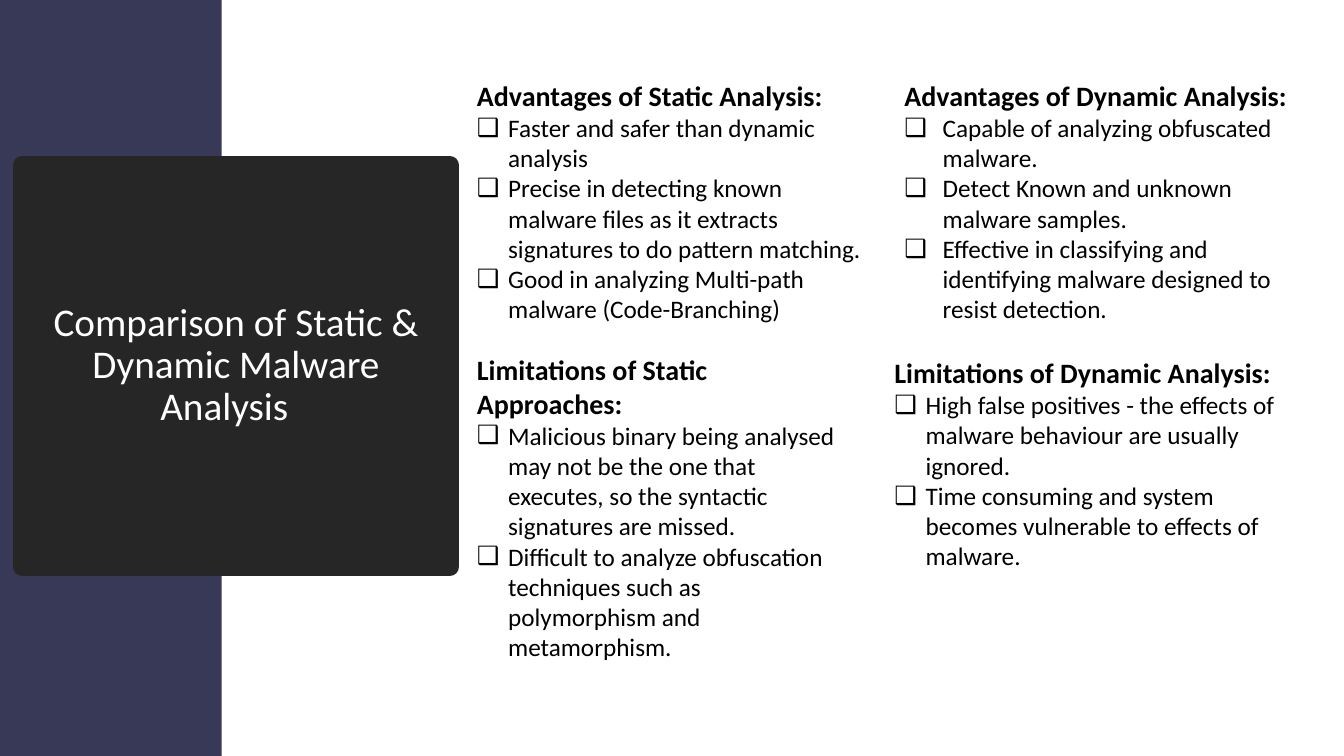
from lxml import etree
from pptx import Presentation
from pptx.dml.color import RGBColor
from pptx.enum import shapes, text
from pptx.oxml import ns
from pptx import util as u

PX = 9144
FONT = "Calibri"
BLACK = RGBColor(0x00, 0x00, 0x00)
WHITE = RGBColor(0xFF, 0xFF, 0xFF)
INDIGO = RGBColor(0x37, 0x39, 0x57)
CHARCOAL = RGBColor(0x26, 0x26, 0x26)

LISTS = [
    ((463, 73, 402, 256), 31, "Advantages of Static Analysis:", [
        "Faster and safer than dynamic analysis",
        "Precise in detecting known malware files as it extracts "
        "signatures to do pattern matching.",
        "Good in analyzing Multi-path malware (Code-Branching)",
    ]),
    ((463, 345, 381, 320), 31, "Limitations of Static Approaches:", [
        "Malicious binary being analysed may not be the one that executes, "
        "so the syntactic signatures are missed.",
        "Difficult to analyze obfuscation techniques such as "
        "polymorphism and metamorphism.",
    ]),
    ((887, 73, 424, 289), 38, "Advantages of Dynamic Analysis:", [
        "Capable of analyzing obfuscated malware.",
        "Detect Known and unknown malware samples.",
        "Effective in classifying and identifying malware designed "
        "to resist detection.",
    ]),
    ((877, 348, 424, 316), 31, "Limitations of Dynamic Analysis:", [
        "High false positives - the effects of malware behaviour "
        "are usually ignored.",
        "Time consuming and system becomes vulnerable to effects of malware.",
    ]),
]


def place(sp, box):
    sp.left, sp.top, sp.width, sp.height = (v * PX for v in box)


def prepare_frame(sp, anchor):
    tf = sp.text_frame
    tf.word_wrap = True
    tf.auto_size = text.MSO_AUTO_SIZE.NONE
    tf.vertical_anchor = anchor
    return tf


def write(p, content, size, color=BLACK, bold=False,
          align=text.PP_ALIGN.LEFT, spacing=1.0):
    p.alignment = align
    p.line_spacing = spacing
    p.space_before = p.space_after = u.Pt(0)
    r = p.add_run()
    r.text = content
    r.font.name = FONT
    r.font.size = u.Pt(size)
    r.font.bold = bold
    r.font.color.rgb = color


def set_bullet(p, indent=0, char=None):
    pPr = p._p.get_or_add_pPr()
    pPr.set("marL", str(indent * PX))
    pPr.set("indent", str(-indent * PX))
    if char:
        etree.SubElement(pPr, ns.qn("a:buChar")).set("char", char)
    else:
        etree.SubElement(pPr, ns.qn("a:buNone"))


def add_band(s, box):
    sp = s.shapes.add_shape(shapes.MSO_SHAPE.RECTANGLE, 0, 0, PX, PX)
    place(sp, box)
    sp.shadow.inherit = False
    sp.fill.solid()
    sp.fill.fore_color.rgb = INDIGO
    sp.line.fill.background()
    s.shapes._spTree.insert(2, sp._element)


def fill_title(sp, box, content):
    place(sp, box)
    sp.fill.solid()
    sp.fill.fore_color.rgb = CHARCOAL
    sp.line.color.rgb = CHARCOAL
    sp.line.width = u.Pt(13.75)
    etree.SubElement(sp.line._ln, ns.qn("a:round"))
    tf = prepare_frame(sp, text.MSO_ANCHOR.MIDDLE)
    write(tf.paragraphs[0], content, 28, color=WHITE,
          align=text.PP_ALIGN.CENTER, spacing=0.9)


def fill_list(sp, box, indent, heading, items):
    place(sp, box)
    tf = prepare_frame(sp, text.MSO_ANCHOR.TOP)
    p = tf.paragraphs[0]
    set_bullet(p)
    write(p, heading, 20, bold=True)
    for item in items:
        p = tf.add_paragraph()
        set_bullet(p, indent, "❑")
        write(p, item, 18)


def main():
    prs = Presentation()
    prs.slide_width, prs.slide_height = 1333 * PX, 750 * PX
    s = prs.slides.add_slide(prs.slide_layouts.get_by_name("Comparison"))
    add_band(s, (0, 0, 220, 750))
    fill_title(s.shapes.title, (22, 164, 424, 398),
               "Comparison of Static & Dynamic Malware Analysis\t")
    bodies = [sp for sp in s.placeholders if sp.placeholder_format.idx > 0]
    for sp, column in zip(bodies, LISTS):
        fill_list(sp, *column)
    prs.save("out.pptx")


if __name__ == "__main__":
    main()
